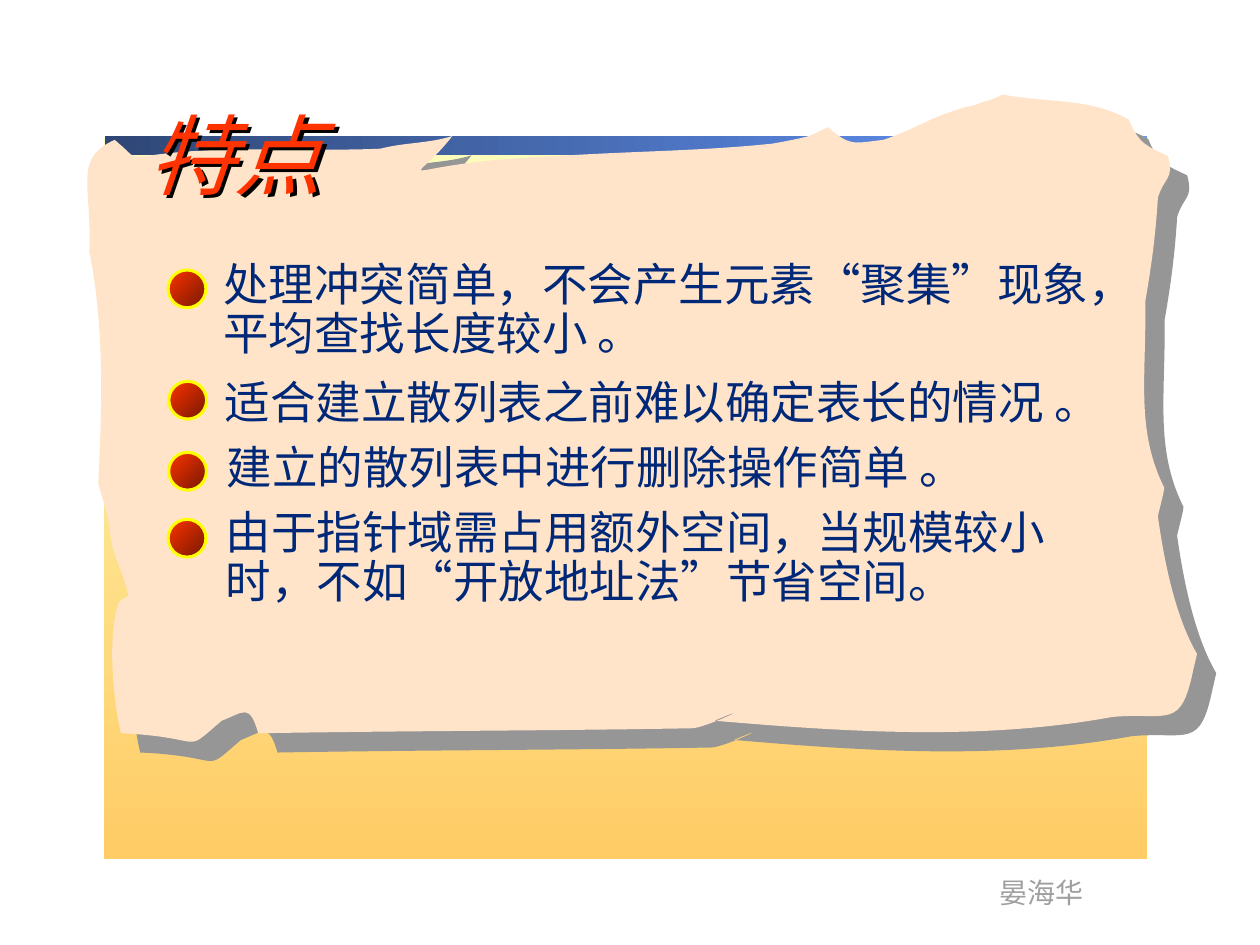
from dataclasses import dataclass

from lxml import etree
from pptx import Presentation
from pptx.dml.color import RGBColor
from pptx.enum.shapes import MSO_SHAPE
from pptx.enum.text import MSO_ANCHOR
from pptx.oxml.ns import qn
from pptx.util import Pt

RECT = MSO_SHAPE.RECTANGLE
OVAL = MSO_SHAPE.OVAL
TOP = MSO_ANCHOR.TOP
GRID = 0.72
BALL_SIZE = 21.6


@dataclass(frozen=True)
class Theme:
    font: str = "Arial Narrow"
    title_size: float = 50
    body_size: float = 26
    footer_size: float = 16
    title: str = "FF3300"
    body: str = "002878"
    footer: str = "9F9F9F"
    paper: str = "FFE4C9"
    paper_shadow: str = "969696"
    title_shadow: str = "000000"
    panel: tuple[str, str] = ("FCFEBC", "FFCC66")
    band: tuple[str, str] = ("2F4776", "6699FF")
    ball: tuple[str, str] = ("FF3300", "761800")
    ball_line: str = "FFFF00"


@dataclass(frozen=True)
class Box:
    left: float
    top: float
    width: float
    height: float

    def emu(self) -> list[int]:
        return [Pt(v) for v in (self.left, self.top, self.width, self.height)]


@dataclass(frozen=True)
class Point:
    text_box: Box
    ball_left: float
    ball_top: float
    lines: tuple[str, ...]
    spacing: float = 1.0


THEME = Theme()

POINTS = [
    Point(Box(120.6, 146.2, 521.3, 63.4), 96.1, 154.3,
          ("处理冲突简单，不会产生元素“聚集”现象，", "平均查找长度较小 。"), 0.9),
    Point(Box(121.3, 210.2, 526.3, 38.2), 96.5, 217.9,
          ("适合建立散列表之前难以确定表长的情况 。",)),
    Point(Box(121.8, 288, 555.1, 63.4), 96.1, 296.8,
          ("由于指针域需占用额外空间，当规模较小", "时，不如“开放地址法”节省空间。"), 0.9),
    Point(Box(122.4, 247.5, 495.4, 38.2), 96.4, 258.5,
          ("建立的散列表中进行删除操作简单 。",)),
]

PAPER_START = (94, 128)
PAPER_CURVES = [
    (161, 113, 233, 121, 302, 118), (321, 113, 340, 114, 359, 108),
    (323, 154, 308, 129, 441, 124), (498, 120, 556, 120, 613, 114),
    (619, 113, 635, 110, 642, 108), (647, 106, 657, 101, 657, 101),
    (675, 116, 676, 114, 701, 111), (720, 105, 738, 94, 757, 88),
    (774, 82, 765, 87, 780, 81), (786, 80, 796, 75, 796, 75),
    (830, 82, 864, 77, 896, 95), (904, 115, 911, 116, 927, 124),
    (932, 143, 924, 140, 919, 157), (917, 188, 914, 210, 909, 239),
    (910, 298, 901, 341, 924, 387), (924, 391, 919, 408, 919, 410),
    (924, 446, 933, 490, 950, 519), (949, 523, 948, 528, 947, 532),
    (937, 580, 927, 565, 883, 569), (779, 588, 672, 581, 567, 572),
    (607, 555, 560, 578, 549, 578), (434, 580, 319, 580, 205, 582),
    (198, 558, 194, 565, 176, 572), (143, 600, 167, 585, 96, 582),
    (90, 557, 85, 506, 94, 479), (95, 476, 99, 475, 102, 473),
    (99, 458, 93, 448, 89, 433), (85, 407, 88, 420, 81, 394),
    (80, 391, 78, 384, 78, 384), (81, 323, 83, 260, 71, 200),
    (73, 146, 58, 126, 91, 111), (110, 127, 101, 124, 117, 124),
]


def bend_segments(s) -> None:
    path = next(s._element.iter(qn("a:path")))
    lines = path.findall(qn("a:lnTo"))
    for i in range(0, len(lines), 3):
        curve = etree.SubElement(path, qn("a:cubicBezTo"))
        for line in lines[i:i + 3]:
            curve.append(line[0])
            path.remove(line)


def add_shadow(s, color: str, distance: float) -> None:
    s.shadow.inherit = False
    effects = s._element.spPr.find(qn("a:effectLst"))
    shadow = etree.SubElement(effects, qn("a:outerShdw"),
                              dist=str(Pt(distance)), dir="2700000", algn="ctr", rotWithShape="0")
    etree.SubElement(shadow, qn("a:srgbClr"), val=color)


def add_gradient(shapes, kind, box: Box, colors: tuple[str, str], angle: float):
    s = shapes.add_shape(kind, *box.emu())
    s.shadow.inherit = False
    s.line.fill.background()
    s.fill.gradient()
    s.fill.gradient_angle = angle
    for position, stop, color in zip((0, 1), s.fill.gradient_stops, colors):
        stop.position = position
        stop.color.rgb = RGBColor.from_string(color)
    return s


def add_text(shapes, box: Box, lines: tuple[str, ...], size: float, color: str,
             spacing: float = 1.0, wrap: bool = True, italic: bool = False):
    s = shapes.add_textbox(*box.emu())
    tf = s.text_frame
    for name, value in {"word_wrap": wrap, "vertical_anchor": TOP}.items():
        setattr(tf, name, value)
    font_format = {"name": THEME.font, "size": Pt(size), "italic": italic}
    for i, line in enumerate(lines):
        p = tf.add_paragraph() if i else tf.paragraphs[0]
        p.line_spacing = spacing
        r = p.add_run()
        r.text = line
        for name, value in font_format.items():
            setattr(r.font, name, value)
        r.font.color.rgb = RGBColor.from_string(color)
    return s


def add_paper(shapes) -> None:
    knots = [PAPER_START] + [c[i:i + 2] for c in PAPER_CURVES for i in (0, 2, 4)]
    first, *rest = [(Pt(x * GRID), Pt(y * GRID)) for x, y in knots]
    builder = shapes.build_freeform(*first, scale=1.0)
    builder.add_line_segments(rest, close=False)
    s = builder.convert_to_shape()
    bend_segments(s)
    s.fill.solid()
    s.fill.fore_color.rgb = RGBColor.from_string(THEME.paper)
    s.line.fill.background()
    add_shadow(s, THEME.paper_shadow, 15.6)


def add_point(shapes, point: Point) -> None:
    group = shapes.add_group_shape().shapes
    add_text(group, point.text_box, point.lines, THEME.body_size, THEME.body, point.spacing)
    ball_box = Box(point.ball_left, point.ball_top, BALL_SIZE, BALL_SIZE)
    ball = add_gradient(group, OVAL, ball_box, THEME.ball, 315)
    ball.line.color.rgb = RGBColor.from_string(THEME.ball_line)
    ball.line.width = Pt(1.75)


def main() -> None:
    prs = Presentation()
    prs.slide_width, prs.slide_height = Pt(720), Pt(540)
    shapes = prs.slides.add_slide(prs.slide_layouts[6]).shapes
    add_gradient(shapes, RECT, Box(59.5, 79.2, 596.2, 411.8), THEME.panel, 270)
    add_gradient(shapes, RECT, Box(60.1, 77.8, 595.4, 10.8), THEME.band, 0)
    add_text(shapes, Box(564.2, 496.8, 62.6, 26.6), ("晏海华",),
             THEME.footer_size, THEME.footer, wrap=False)
    heading = shapes.add_group_shape().shapes
    add_paper(heading)
    title = add_text(heading, Box(77, 54, 145.4, 67), ("特点",),
                     THEME.title_size, THEME.title, italic=True)
    add_shadow(title, THEME.title_shadow, 2.8)
    for point in POINTS:
        add_point(shapes, point)
    prs.save("out.pptx")


if __name__ == "__main__":
    main()
